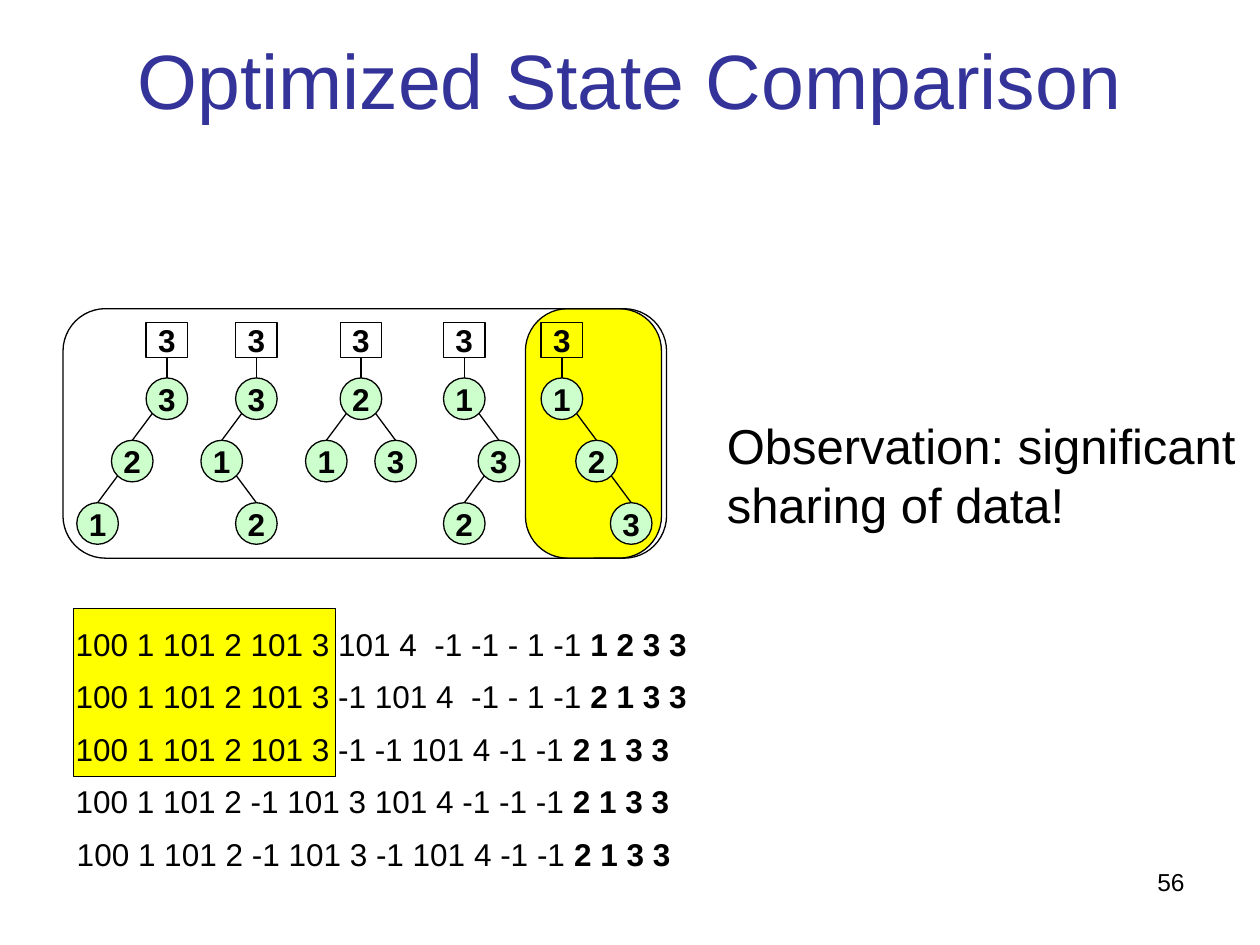
from dataclasses import dataclass
from typing import Optional

from lxml.etree import SubElement
from pptx import Presentation
from pptx.dml.color import RGBColor
from pptx.enum.shapes import MSO_CONNECTOR as Link, MSO_SHAPE as Kind
from pptx.enum.text import MSO_ANCHOR as Anchor, PP_ALIGN as Align
from pptx.oxml.ns import qn
from pptx.util import Inches, Pt

BLACK, WHITE, BLUE = "000000", "FFFFFF", "333399"
YELLOW, GREEN = "FFFF00", "CCFFCC"
SIZE, STEP = 0.33, 0.275      # node diameter, sideways shift of a child
TOP, ROW = 3.0, 0.495         # first node row, distance between rows
BOX_TOP, BOX_H = 2.56, 0.28   # square box above each tree
EDGE = 0.115                  # where an edge leaves the parent circle


@dataclass
class Node:
    label: str
    left: Optional["Node"] = None
    right: Optional["Node"] = None


@dataclass
class Tree:
    mid: float
    root: Node
    fill: Optional[str] = None


@dataclass
class Code:
    left: float
    width: float
    plain: str
    bold: str


TREES = [
    Tree(1.325, Node("3", left=Node("2", left=Node("1")))),
    Tree(2.035, Node("3", left=Node("1", right=Node("2"))), WHITE),
    Tree(2.865, Node("2", Node("1"), Node("3"))),
    Tree(3.685, Node("1", right=Node("3", left=Node("2")))),
    Tree(4.46, Node("1", right=Node("2", right=Node("3")))),
]

CODES = [
    Code(0.5, 5.05, "100 1 101 2 101 3 101 4  -1 -1 - 1 -1 ", "1 2 3 3"),
    Code(0.5, 5.05, "100 1 101 2 101 3 -1 101 4  -1 - 1 -1 ", "2 1 3 3"),
    Code(0.5, 4.91, "100 1 101 2 101 3 -1 -1 101 4 -1 -1 ", "2 1 3 3"),
    Code(0.5, 4.91, "100 1 101 2 -1 101 3 101 4 -1 -1 -1 ", "2 1 3 3"),
    Code(0.51, 4.91, "100 1 101 2 -1 101 3 -1 101 4 -1 -1 ", "2 1 3 3"),
]


def tint(hue: str) -> RGBColor:
    return RGBColor.from_string(hue)


def add_run(para, text: str, size: float, bold=False, hue=BLACK) -> None:
    run = para.add_run()
    run.text = text
    run.font.name = "Arial"
    run.font.size = Pt(size)
    run.font.bold = bold
    run.font.color.rgb = tint(hue)


def add_box(slide, kind, x: float, y: float, w: float, h: float,
            fill: Optional[str] = None, line=0.75):
    box = slide.shapes.add_shape(kind, Inches(x), Inches(y), Inches(w), Inches(h))
    box.shadow.inherit = False
    if fill:
        box.fill.solid()
        box.fill.fore_color.rgb = tint(fill)
    else:
        box.fill.background()
    box.line.color.rgb = tint(BLACK)
    box.line.width = Pt(line)
    return box


def add_cell(slide, kind, mid: float, y: float, h: float, label: str, fill) -> None:
    box = add_box(slide, kind, mid - SIZE / 2, y, SIZE, h, fill)
    frame = box.text_frame
    frame.word_wrap = False
    frame.vertical_anchor = Anchor.MIDDLE
    para = frame.paragraphs[0]
    para.alignment = Align.CENTER
    add_run(para, label, 18, bold=True)


def add_edge(slide, x1: float, y1: float, x2: float, y2: float) -> None:
    edge = slide.shapes.add_connector(
        Link.STRAIGHT, Inches(x1), Inches(y1), Inches(x2), Inches(y2))
    edge.line.color.rgb = tint(BLACK)
    edge.line.width = Pt(0.75)
    SubElement(edge._element.spPr, qn("a:effectLst"))


def add_node(slide, node: Node, mid: float, y: float) -> None:
    add_cell(slide, Kind.OVAL, mid, y, SIZE, node.label, GREEN)
    for side, child in ((-1, node.left), (1, node.right)):
        if child:
            x = mid + side * STEP
            add_edge(slide, mid + side * EDGE, y + SIZE / 2 + EDGE, x, y + ROW)
            add_node(slide, child, x, y + ROW)


def add_text(slide, x: float, y: float, w: float, h: float, align, wrap=True):
    box = slide.shapes.add_textbox(Inches(x), Inches(y), Inches(w), Inches(h))
    box.text_frame.word_wrap = wrap
    para = box.text_frame.paragraphs[0]
    para.alignment = align
    return para


def main() -> None:
    deck = Presentation()
    deck.slide_width, deck.slide_height = Inches(10), Inches(7.5)
    slide = deck.slides.add_slide(deck.slide_layouts[5])

    # Highlights behind the shared data
    add_box(slide, Kind.RECTANGLE, 0.58, 4.83, 2.08, 1.33, YELLOW, 0.25)
    glow = add_box(slide, Kind.ROUNDED_RECTANGLE, 4.17, 2.45, 1.08, 1.98, YELLOW)
    glow.adjustments[0] = 0.31

    # Title
    title = slide.shapes.title
    title.left, title.top = Inches(0), Inches(0)
    title.width, title.height = Inches(10), Inches(1.25)
    title.text_frame.vertical_anchor = Anchor.MIDDLE
    head = title.text_frame.paragraphs[0]
    head.alignment = Align.CENTER
    add_run(head, "Optimized State Comparison", 44, hue=BLUE)

    # Trees in their frame
    frame = add_box(slide, Kind.ROUNDED_RECTANGLE, 0.5, 2.45, 4.79, 1.98)
    frame.adjustments[0] = 0.17
    for tree in TREES:
        add_cell(slide, Kind.RECTANGLE, tree.mid, BOX_TOP, BOX_H, "3", tree.fill)
        add_edge(slide, tree.mid, BOX_TOP + BOX_H, tree.mid, TOP)
        add_node(slide, tree.root, tree.mid, TOP)

    # Encoded states
    for i, code in enumerate(CODES):
        para = add_text(slide, code.left, 4.91 + i * 0.417, code.width, 0.4,
                        Align.CENTER, wrap=False)
        add_run(para, code.plain, 18)
        add_run(para, code.bold, 18, bold=True)

    # Remark and page number
    note = add_text(slide, 5.67, 3.25, 4.25, 1.04, Align.LEFT)
    add_run(note, "Observation: significant sharing of data!", 28)
    page = add_text(slide, 7.17, 6.83, 2.33, 0.52, Align.RIGHT)
    add_run(page, "56", 14)

    deck.save("out.pptx")


if __name__ == "__main__":
    main()
